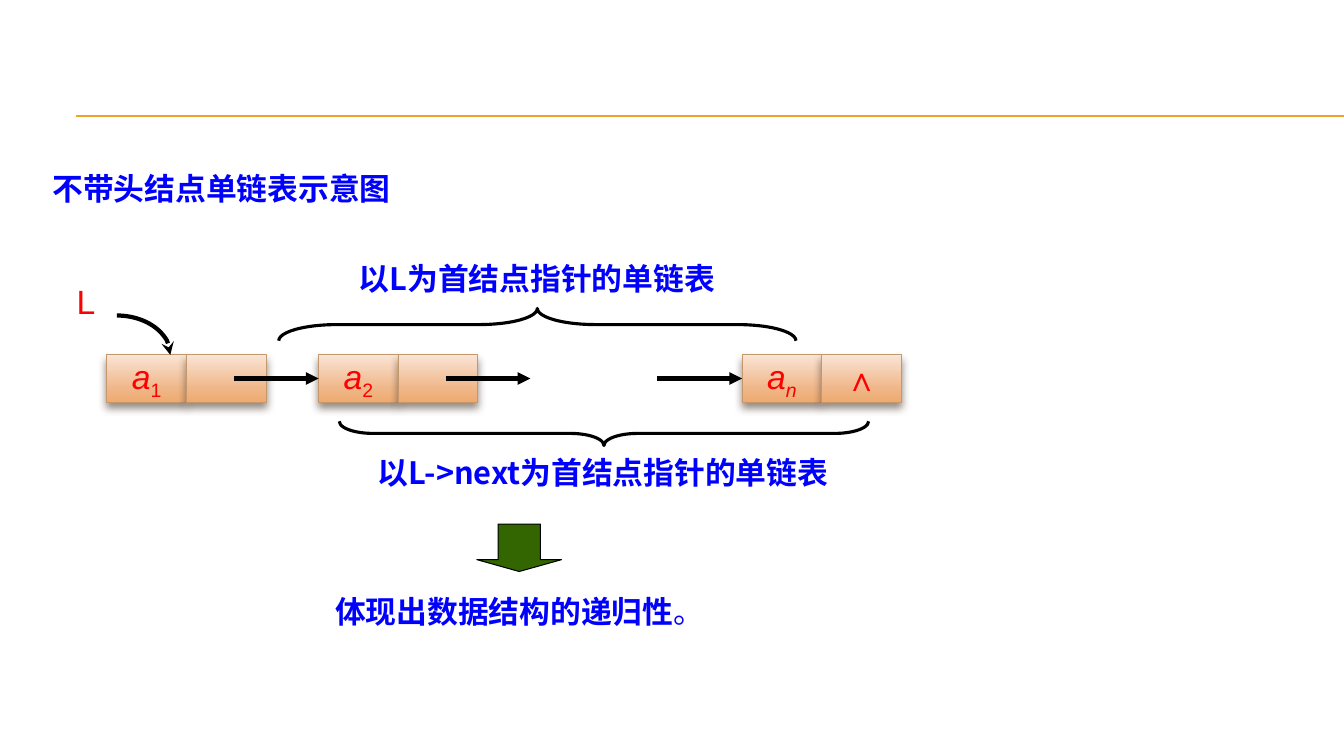
"""Build the slide on the recursive structure of a singly linked list."""
from copy import deepcopy

from lxml import etree
from pptx import Presentation
from pptx.dml.color import RGBColor
from pptx.enum.shapes import MSO_CONNECTOR, MSO_SHAPE
from pptx.enum.text import MSO_ANCHOR, MSO_AUTO_SIZE, PP_ALIGN
from pptx.oxml.ns import qn
from pptx.util import Inches, Pt

STRAIGHT = MSO_CONNECTOR.STRAIGHT
RECT, ARC = MSO_SHAPE.RECTANGLE, MSO_SHAPE.ARC
BRACE, DOWN_ARROW = MSO_SHAPE.RIGHT_BRACE, MSO_SHAPE.DOWN_ARROW
LEFT, CENTER = PP_ALIGN.LEFT, PP_ALIGN.CENTER
MIDDLE, NO_FIT = MSO_ANCHOR.MIDDLE, MSO_AUTO_SIZE.NONE

LATIN, CJK = "Arial", "Noto Sans CJK SC"
RED, BLUE, BLACK, GOLD, GREEN = "FF0000", "0000FF", "000000", "F0A22E", "336600"
CELL_LINE, SHADOW = "C3986D", "4E3B30"
CELL_STOPS = [(0, "FAE4D5"), (0.72, "EFB688"), (1, "EFAA6F")]

HEADING = "不带头结点单链表示意图"
HEADING_BOX = (0.4, 1.62, 5.31, 0.49)
LABELS = [
    (["以L为首结点指针的单链表"], (2.49, 2.52, 5.67, 0.47)),
    (["以L->next为首结点指针的单链表"], (2.36, 4.45, 7.24, 0.47)),
    (["体现出数据结构的递归性", "。"], (2.32, 5.83, 5.67, 0.47)),
]
NODES = {0: ("a", "1", ""), 1: ("a", "2", ""), 3: ("a", "n", "∧")}
ARROW_SLOTS = [0, 1, 2]
BRACES = [
    (5.33, 3.22, 5.13, 0.32, 270, 1.81),
    (5.99, 4.3, 5.25, 0.24, 90, 1.39),
]
RULE_LEFT, RULE_RIGHT, RULE_TOPS = 0.75, 13.33, (1.15, 1.16)
NODE_LEFT, NODE_TOP, NODE_STEP = 1.06, 3.52, 2.1
CELL_W, CELL_H = 0.79, 0.47
ARROW_LEFT, ARROW_W = 2.32, 0.84


def rgb(value):
    return RGBColor.from_string(value)


def box(x, y, w, h):
    return [Inches(v) for v in (x, y, w, h)]


def set_line(sp, color, width, tail=None):
    sp.line.color.rgb = rgb(color)
    sp.line.width = Pt(width)
    if tail:
        ln = sp._element.spPr.find(qn("a:ln"))
        etree.SubElement(ln, qn("a:tailEnd"), type=tail)


def add_run(p, text, font, size, color, bold=False, italic=False, base=0):
    r = p.add_run()
    r.text = text
    r.font.name, r.font.size = font, Pt(size)
    r.font.bold, r.font.italic = bold, italic
    r.font.color.rgb = rgb(color)
    props = r.font._element
    etree.SubElement(props, qn("a:ea"), typeface=font)
    if base:
        props.set("baseline", str(base * 1000))


def prepare_text(sp, align, wrap=True, mx=0.1, my=0.05):
    tf = sp.text_frame
    tf.word_wrap, tf.auto_size, tf.vertical_anchor = wrap, NO_FIT, MIDDLE
    tf.margin_left = tf.margin_right = Inches(mx)
    tf.margin_top = tf.margin_bottom = Inches(my)
    p = tf.paragraphs[0]
    p.alignment = align
    return p


def add_shape(s, kind, bounds, line, width, tail=None, fill=None):
    sp = s.shapes.add_shape(kind, *box(*bounds))
    sp.shadow.inherit = False
    if fill:
        sp.fill.solid()
        sp.fill.fore_color.rgb = rgb(fill)
    else:
        sp.fill.background()
    set_line(sp, line, width, tail)
    return sp


def add_line(s, x1, y1, x2, y2, color, width, tail=None):
    line = s.shapes.add_connector(STRAIGHT, *box(x1, y1, x2, y2))
    set_line(line, color, width, tail)
    etree.SubElement(line._element.spPr, qn("a:effectLst"))
    return line


def add_cell(s, x):
    sp = add_shape(s, RECT, (x, NODE_TOP, CELL_W, CELL_H), CELL_LINE, 0.79)
    sp.fill.gradient()
    sp.fill.gradient_angle = 270
    stops = sp._element.spPr.find(qn("a:gradFill")).find(qn("a:gsLst"))
    stops.insert(1, deepcopy(stops[0]))
    for stop, (position, color) in zip(sp.fill.gradient_stops, CELL_STOPS):
        stop.position = position
        stop.color.rgb = rgb(color)
    effects = sp._element.spPr.find(qn("a:effectLst"))
    shadow = etree.SubElement(effects, qn("a:outerShdw"), blurRad=str(Pt(6)),
                              dist=str(Pt(4)), dir="5400000", rotWithShape="0")
    tint = etree.SubElement(shadow, qn("a:srgbClr"), val=SHADOW)
    etree.SubElement(tint, qn("a:alpha"), val="60000")
    return sp


def add_node(s, slot, name, index, pointer):
    x = NODE_LEFT + slot * NODE_STEP
    data = add_cell(s, x)
    p = prepare_text(data, CENTER, False, 0.12, 0.06)
    add_run(p, name, LATIN, 24, RED, italic=True)
    add_run(p, index, LATIN, 24, RED, italic=index.isalpha(), base=-25)
    link = add_cell(s, x + CELL_W)
    if pointer:
        p = prepare_text(link, CENTER, False, 0.12, 0.06)
        add_run(p, pointer, LATIN, 24, RED)
    return data


def main():
    prs = Presentation()
    prs.slide_width, prs.slide_height = Inches(13.33), Inches(7.5)
    s = prs.slides.add_slide(prs.slide_layouts[5])

    title = s.shapes.title
    title.left, title.top, title.width, title.height = box(*HEADING_BOX)
    p = prepare_text(title, LEFT, mx=0.12, my=0.06)
    add_run(p, HEADING, CJK, 22, BLUE, bold=True)

    for y in RULE_TOPS:
        add_line(s, RULE_LEFT, y, RULE_RIGHT, y, GOLD, 0.75)

    nodes = {slot: add_node(s, slot, *parts) for slot, parts in NODES.items()}

    arrow_y = NODE_TOP + CELL_H / 2
    for slot in ARROW_SLOTS:
        x = ARROW_LEFT + slot * NODE_STEP
        arrow = add_line(s, x, arrow_y, x + ARROW_W, arrow_y, BLACK, 3, "triangle")
        if slot + 1 in nodes:
            arrow.end_connect(nodes[slot + 1], 1)

    add_shape(s, ARC, (0.63, 3.13, 1.06, 0.78), BLACK, 3, "stealth")
    head = s.shapes.add_textbox(*box(0.64, 2.73, 0.63, 0.52))
    add_run(prepare_text(head, LEFT, mx=0.12, my=0.06), "L", LATIN, 24, RED)

    for cx, cy, span, depth, turn, curve in BRACES:
        bounds = (cx - depth / 2, cy - span / 2, depth, span)
        brace = add_shape(s, BRACE, bounds, BLACK, 2.25)
        brace.rotation = turn
        brace.adjustments[0] = curve

    down = add_shape(s, DOWN_ARROW, (4.73, 5.2, 0.84, 0.47), BLACK, 0.75, fill=GREEN)
    down.adjustments[1] = 0.25

    for texts, bounds in LABELS:
        p = prepare_text(s.shapes.add_textbox(*box(*bounds)), CENTER)
        for text in texts:
            stop = text == "。"
            add_run(p, text, LATIN if stop else CJK, 22, BLUE, bold=not stop)

    prs.save("out.pptx")


if __name__ == "__main__":
    main()
